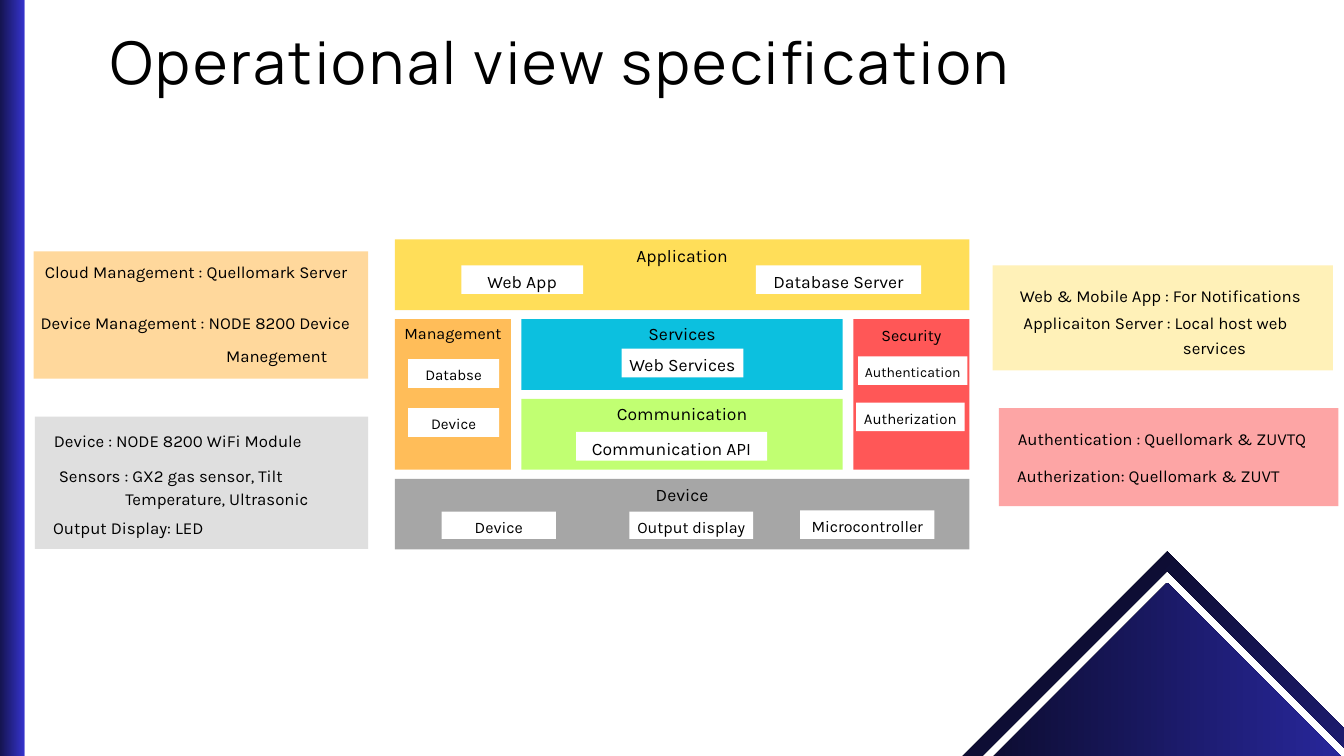
import pptx
import pptx.util
from pptx.dml.color import RGBColor
from pptx.enum.shapes import MSO_SHAPE
from pptx.enum.text import MSO_ANCHOR, PP_ALIGN
from pptx.oxml.ns import qn

PX = 9525
COLORS = {
    "text": "000000", "chip": "FFFFFF",
    "application": "FFDE59", "services": "0CC0DF", "communication": "C1FF72",
    "device": "A6A6A6", "management": "FFBD59", "security": "FF5757",
    "application_note": "FFF1B8", "security_note": "FDA5A5",
    "device_note": "DFDFDF", "management_note": "FFD89C",
    "gradient_start": "000000", "gradient_end": "3533CD",
}
LEFT, TOP, WIDTH, ROW, PITCH = 564, 342, 821, 101, 114
SIDE, GAP = 166, 15
MIDDLE = LEFT + SIDE + GAP
MIDDLE_WIDTH = WIDTH - 2 * (SIDE + GAP)
RIGHT = LEFT + WIDTH - SIDE
ROWS = [TOP + row * PITCH for row in range(4)]

LAYERS = [
    ("Application", "application", (LEFT, ROWS[0], WIDTH, ROW), 18.8, 3),
    ("Services", "services", (MIDDLE, ROWS[1], MIDDLE_WIDTH, ROW), 18.8, 0),
    ("Communication", "communication", (MIDDLE, ROWS[2], MIDDLE_WIDTH, ROW), 18.8, 0),
    ("Device", "device", (LEFT, ROWS[3], WIDTH, ROW), 18.8, 3),
    ("Management", "management", (LEFT, ROWS[1], SIDE, PITCH + ROW), 17.2, 1),
    ("Security", "security", (RIGHT, ROWS[1], SIDE, PITCH + ROW), 17.2, 4),
]
CHIPS = [
    ("Web App", (659, 379, 174, 41), 18.8),
    ("Database Server", (1080, 379, 236, 41), 18.8),
    ("Web Services", (888, 498, 174, 41), 18.8),
    ("Databse", (583, 513, 130, 41), 16.1),
    ("Device", (583, 583, 130, 41), 16.1),
    ("Communication API", (823, 617, 273, 41), 18.8),
    ("Authentication", (1226, 509, 156, 41), 15),
    ("Autherization", (1223, 575, 155, 41), 16.1),
    ("Device", (631, 731, 163, 39), 17.2),
    ("Output display", (899, 731, 177, 39), 17.2),
    ("Microcontroller", (1143, 729, 192, 41), 17.2),
]
NOTES = [
    ("management_note", (48, 359, 478, 182), [
        ("Cloud Management : Quellomark Server", 64, 369),
        ("Device Management : NODE 8200 Device", 58, 442),
        ("Manegement", 323, 489)]),
    ("device_note", (50, 595, 476, 189), [
        ("Device : NODE 8200 WiFi Module", 77, 610),
        ("Sensors : GX2 gas sensor, Tilt", 84, 661),
        ("Temperature, Ultrasonic", 179, 693),
        ("Output Display: LED", 76, 735)]),
    ("application_note", (1418, 379, 486, 150), [
        ("Web & Mobile App : For Notifications", 1457, 403),
        ("Applicaiton Server : Local host web", 1462, 442),
        ("services", 1690, 478)]),
    ("security_note", (1427, 583, 485, 140), [
        ("Authentication : Quellomark & ZUVTQ", 1454, 607),
        ("Autherization: Quellomark & ZUVT", 1453, 660)]),
]


def color(name):
    return RGBColor.from_string(COLORS[name])


def emu(box):
    return [length * PX for length in box]


def add_block(slide, box, fill=None, preset=MSO_SHAPE.RECTANGLE):
    block = slide.shapes.add_shape(preset, *emu(box))
    block.shadow.inherit = False
    block.line.fill.background()
    if fill:
        block.fill.solid()
        block.fill.fore_color.rgb = color(fill)
    return block


def add_gradient(slide, box, angle=0, rotation=0, preset=MSO_SHAPE.RECTANGLE):
    block = add_block(slide, box, preset=preset)
    block.rotation = rotation
    block.fill.gradient()
    block.fill.gradient_angle = angle
    for stop, name in zip(block.fill.gradient_stops, ("gradient_start", "gradient_end")):
        stop.color.rgb = color(name)
    return block


def write(shape, text, size, align=PP_ALIGN.CENTER, anchor=MSO_ANCHOR.TOP,
          inset=0, font="Karla", leading=1.4):
    frame = shape.text_frame
    frame.word_wrap = True
    frame.vertical_anchor = anchor
    frame.margin_left = frame.margin_right = frame.margin_bottom = 0
    frame.margin_top = inset * PX
    paragraph = frame.paragraphs[0]
    paragraph.text = text
    paragraph.alignment = align
    paragraph.line_spacing = pptx.util.Pt(round(size * leading, 1))
    paragraph.font.name = font
    paragraph.font.size = pptx.util.Pt(size)
    paragraph.font.color.rgb = color("text")
    return paragraph


def add_title(slide, text):
    title = slide.shapes.add_textbox(*emu((0, 50, 1600, 97)))
    paragraph = write(title, text, 63, font="Manrope", leading=1.05)
    paragraph._p.pPr.find(qn("a:defRPr")).set("spc", "310")


def add_note(slide, fill, box, lines):
    add_block(slide, box, fill)
    right = box[0] + box[2]
    for text, left, top in lines:
        line = slide.shapes.add_textbox(*emu((left, top, right - left, 32)))
        write(line, text, 18, PP_ALIGN.LEFT)


def main():
    """Build the operational view slide and save it."""
    deck = pptx.Presentation()
    deck.slide_width, deck.slide_height = emu((1920, 1080))
    slide = deck.slides.add_slide(deck.slide_layouts[6])

    peak_border = add_gradient(slide, (1344, 922, 647, 647), rotation=45, preset=MSO_SHAPE.FRAME)
    peak_border.adjustments[0] = 0.03
    add_gradient(slide, (-22, 0, 57, 1080))
    add_title(slide, "Operational view specification")

    for text, fill, box, size, inset in LAYERS:
        write(add_block(slide, box, fill), text, size, inset=inset)
    for text, box, size in CHIPS:
        write(add_block(slide, box, "chip"), text, size, anchor=MSO_ANCHOR.MIDDLE)
    for fill, box, lines in NOTES:
        add_note(slide, fill, box, lines)

    add_gradient(slide, (1323, 975, 689, 689), angle=315, rotation=315)
    deck.save("out.pptx")


if __name__ == "__main__":
    main()
